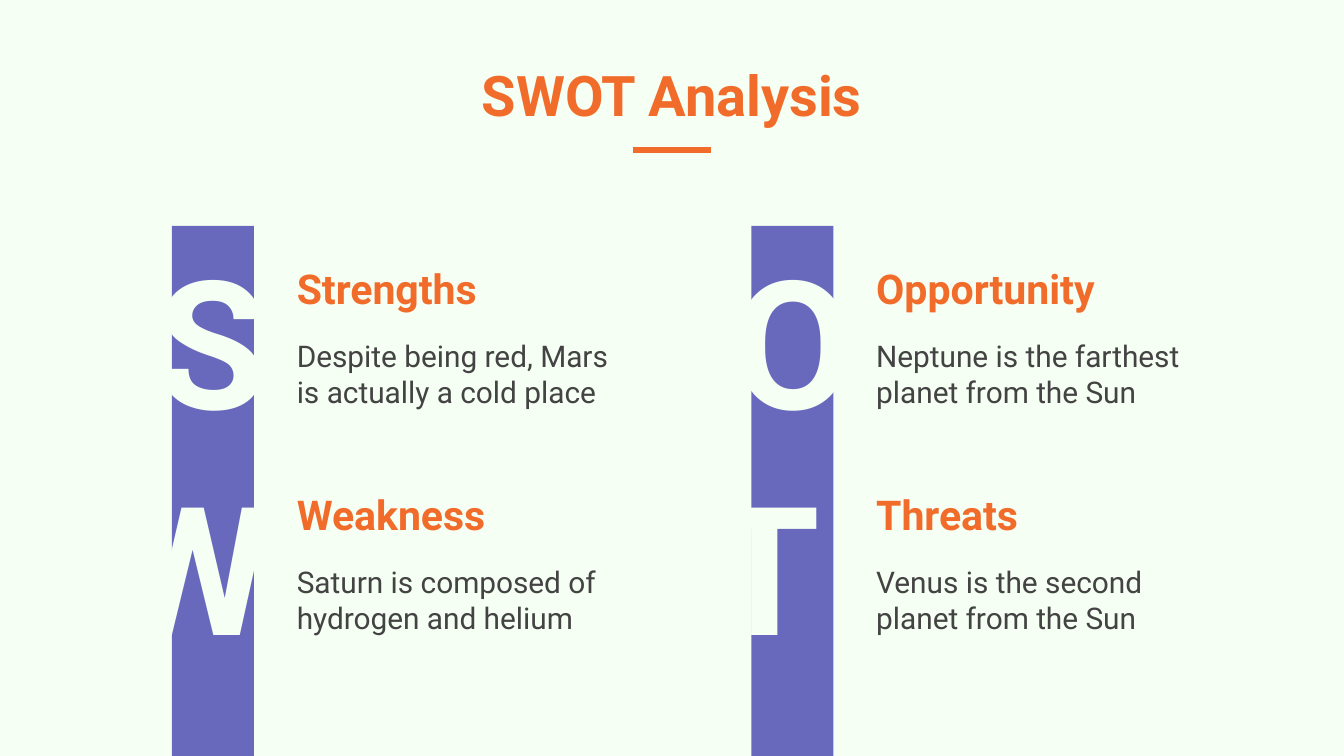
from pptx import Presentation
from pptx.dml.color import RGBColor
from pptx.enum.shapes import MSO_CONNECTOR, MSO_SHAPE
from pptx.enum.text import MSO_ANCHOR as Anchor, PP_ALIGN as Align
from pptx.oxml.ns import qn
from pptx.util import Cm, Pt
from lxml import etree

COLORS = {
    "background": "F6FFF3",
    "accent": "F16C2A",
    "bar": "6869BD",
    "body": "434343",
}
FONT = "Roboto"
INSET = 0.25

ROW_STEP = 4.27
BAR_TOP, BAR_WIDTH, BAR_HEIGHT = 4.27, 1.55, 10.29
HEADING_TOP, BODY_TOP = 4.09, 6.13
TEXT_WIDTH, TEXT_HEIGHT = 6.73, 2.08
LETTER_WIDTHS = (2.18, 2.97)
LETTER_HEIGHT = 4.24

# Bar left, right edge of the letters, text left, topics from top to bottom
COLUMNS = [
    (3.25, 4.88, 5.36, [
        ("Strengths", "Despite being red, Mars is actually a cold place"),
        ("Weakness", "Saturn is composed of hydrogen and helium"),
    ]),
    (14.2, 15.75, 16.31, [
        ("Opportunity", "Neptune is the farthest planet from the Sun"),
        ("Threats", "Venus is the second planet from the Sun"),
    ]),
]


class SlideBuilder:
    """Holds the style and the current slide; all lengths are in centimetres."""

    def __init__(self, slide):
        self.slide = slide
        fill = slide.background.fill
        fill.solid()
        fill.fore_color.rgb = self.color("background")

    def color(self, name):
        return RGBColor.from_string(COLORS[name])

    def text(self, words, left, top, width, height, size, color,
             bold=True, anchor=Anchor.BOTTOM, align=Align.LEFT):
        box = self.slide.shapes.add_textbox(Cm(left), Cm(top), Cm(width), Cm(height))
        frame = box.text_frame
        frame.word_wrap = True
        frame.vertical_anchor = anchor
        frame.margin_left = frame.margin_right = Cm(INSET)
        frame.margin_top = frame.margin_bottom = Cm(INSET)
        paragraph = frame.paragraphs[0]
        paragraph.text = words
        paragraph.alignment = align
        font = paragraph.font
        font.name, font.size, font.bold = FONT, Pt(size), bold
        font.color.rgb = self.color(color)

    def bar(self, left, top, width, height):
        bar = self.slide.shapes.add_shape(
            MSO_SHAPE.RECTANGLE, Cm(left), Cm(top), Cm(width), Cm(height))
        bar.shadow.inherit = False
        bar.fill.solid()
        bar.fill.fore_color.rgb = self.color("bar")
        bar.line.fill.background()

    def rule(self, left, right, y, weight):
        rule = self.slide.shapes.add_connector(
            MSO_CONNECTOR.STRAIGHT, Cm(left), Cm(y), Cm(right), Cm(y))
        rule.line.color.rgb = self.color("accent")
        rule.line.width = Pt(weight)
        etree.SubElement(rule._element.spPr, qn("a:effectLst"))


def main():
    deck = Presentation()
    deck.slide_width, deck.slide_height = Cm(25.4), Cm(14.29)
    swot = SlideBuilder(deck.slides.add_slide(deck.slide_layouts[6]))

    swot.rule(11.96, 13.44, 2.84, 3)
    swot.text("SWOT Analysis", 2.21, 0.56, 20.98, 2.11, 30, "accent", align=Align.CENTER)

    for bar_left, letter_right, text_left, topics in COLUMNS:
        swot.bar(bar_left, BAR_TOP, BAR_WIDTH, BAR_HEIGHT)
        for row, (heading, body) in enumerate(topics):
            shift = row * ROW_STEP
            letter_width = LETTER_WIDTHS[row]
            swot.text(heading[0], letter_right - letter_width, BAR_TOP + shift,
                      letter_width, LETTER_HEIGHT, 96, "background",
                      anchor=Anchor.MIDDLE, align=Align.RIGHT)
            swot.text(heading, text_left, HEADING_TOP + shift,
                      TEXT_WIDTH, TEXT_HEIGHT, 22, "accent")
            swot.text(body, text_left, BODY_TOP + shift,
                      TEXT_WIDTH, TEXT_HEIGHT, 16, "body", bold=False, anchor=Anchor.TOP)

    deck.save("out.pptx")


if __name__ == "__main__":
    main()
